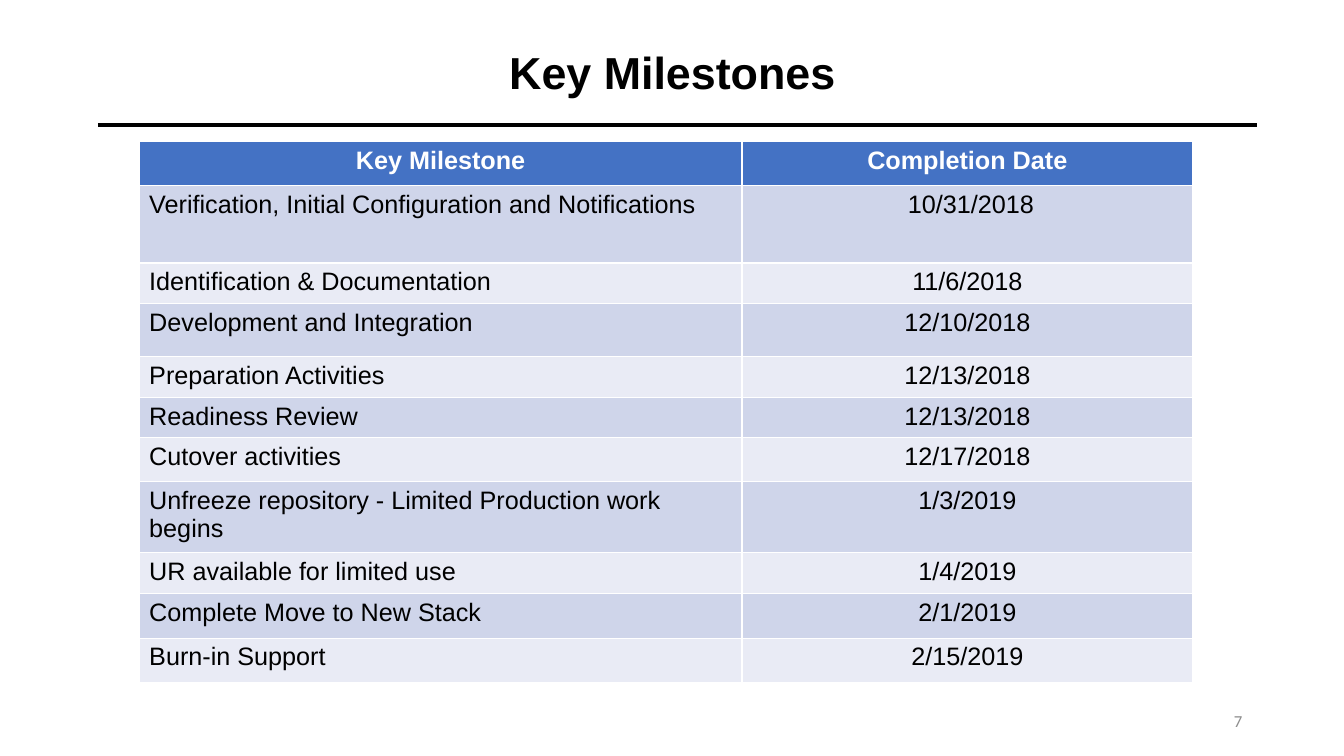
from lxml import etree
from pptx import Presentation
from pptx.dml.color import RGBColor
from pptx.enum import shapes, text
from pptx.oxml.ns import qn
from pptx.util import Inches, Pt

BLACK = RGBColor(0x00, 0x00, 0x00)
WHITE = RGBColor(0xFF, 0xFF, 0xFF)
GREY = RGBColor(0x8C, 0x8C, 0x8C)
BLUE = RGBColor(0x44, 0x72, 0xC4)
DARK = RGBColor(0xCF, 0xD5, 0xEA)
LIGHT = RGBColor(0xE9, 0xEB, 0xF5)
LEFT, CENTER, RIGHT = (text.PP_ALIGN.LEFT, text.PP_ALIGN.CENTER,
                       text.PP_ALIGN.RIGHT)


def write(frame, words, size=18, font="Arial", color=BLACK, bold=False,
          align=CENTER, spacing=None):
    frame.word_wrap = True
    para = frame.paragraphs[0]
    para.alignment = align
    if spacing:
        para.line_spacing = spacing
    run = para.add_run()
    run.text = words
    run.font.size = Pt(size)
    run.font.name = font
    run.font.bold = bold
    run.font.color.rgb = color


def add_box(left, top, width, height, words, **style):
    box = slide.shapes.add_textbox(Inches(left), Inches(top),
                                   Inches(width), Inches(height))
    box.text_frame.vertical_anchor = text.MSO_ANCHOR.MIDDLE
    write(box.text_frame, words, **style)


deck = Presentation()
deck.slide_width, deck.slide_height = Inches(13.33), Inches(7.5)
slide = deck.slides.add_slide(deck.slide_layouts[6])

# Title, page number and rule
add_box(0.92, 0.4, 11.5, 0.69, "Key Milestones", size=32, bold=True,
        spacing=0.9)
add_box(9.42, 6.95, 3, 0.4, "7", size=12, font="Calibri", color=GREY,
        align=RIGHT)
rule = slide.shapes.add_connector(
    shapes.MSO_CONNECTOR.STRAIGHT,
    Inches(0.97), Inches(1.24), Inches(12.47), Inches(1.24))
rule.line.color.rgb = BLACK
rule.line.width = Pt(2.25)
etree.SubElement(rule._element.spPr, qn("a:effectLst"))

# Milestone table: name, date, row height
ROWS = [
    ("Key Milestone", "Completion Date", 0.44),
    ("Verification, Initial Configuration and Notifications",
     " 10/31/2018", 0.77),
    ("Identification & Documentation", "11/6/2018", 0.4),
    ("Development and Integration", "12/10/2018", 0.53),
    ("Preparation Activities", "12/13/2018", 0.38),
    ("Readiness Review", "12/13/2018", 0.38),
    ("Cutover activities", "12/17/2018", 0.44),
    ("Unfreeze repository - Limited Production work begins",
     "1/3/2019", 0.66),
    ("UR available for limited use", "1/4/2019", 0.41),
    ("Complete Move to New Stack", "2/1/2019", 0.44),
    ("Burn-in Support", "2/15/2019", 0.44),
]
WIDTHS = (5.98, 4.47)
total = sum(row[2] for row in ROWS)
table = slide.shapes.add_table(
    len(ROWS), len(WIDTHS), Inches(1.38), Inches(1.4),
    Inches(sum(WIDTHS)), Inches(total)).table
for col, width in zip(table.columns, WIDTHS):
    col.width = Inches(width)

for i, (name, date, height) in enumerate(ROWS):
    table.rows[i].height = Inches(height)
    head = i == 0
    fill = BLUE if head else DARK if i % 2 else LIGHT
    for j, words in enumerate((name, date)):
        cell = table.cell(i, j)
        cell.fill.solid()
        cell.fill.fore_color.rgb = fill
        write(cell.text_frame, words, bold=head,
              color=WHITE if head else BLACK,
              align=CENTER if head or j else LEFT)

deck.save("out.pptx")
